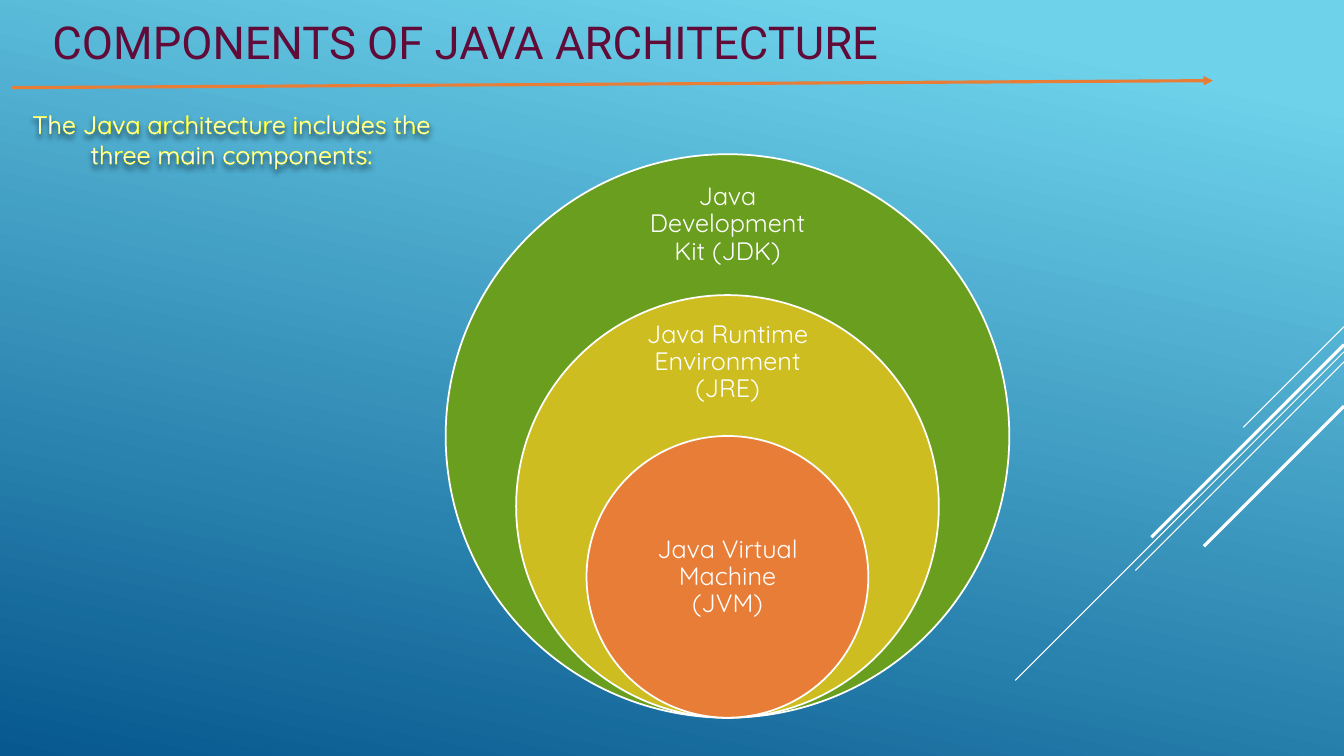
from dataclasses import dataclass

from lxml import etree
from pptx import Presentation
from pptx.dml.color import RGBColor
from pptx.enum.shapes import MSO_CONNECTOR, MSO_SHAPE
from pptx.enum.text import MSO_ANCHOR, PP_ALIGN
from pptx.oxml.ns import qn
from pptx.util import Inches, Pt

STRAIGHT = MSO_CONNECTOR.STRAIGHT
OVAL = MSO_SHAPE.OVAL
RECTANGLE = MSO_SHAPE.RECTANGLE
TOP, MIDDLE = MSO_ANCHOR.TOP, MSO_ANCHOR.MIDDLE
LEFT, CENTER = PP_ALIGN.LEFT, PP_ALIGN.CENTER


@dataclass(frozen=True)
class Theme:
    sky: str = "6ED2EB"
    deep: str = "06588E"
    title: str = "610B38"
    white: str = "FFFFFF"
    glow: str = "FFFF00"
    shade: str = "000000"
    jdk: str = "6A9E1F"
    jre: str = "CEBD20"
    jvm: str = "E87D37"
    title_font: str = "Roboto"
    body_font: str = "Quicksand"
    title_size: float = 32.4
    body_size: float = 18


THEME = Theme()


def rgb(value):
    return RGBColor.from_string(value)


def add_node(parent, tag, **attributes):
    return etree.SubElement(parent, qn(tag), attributes)


def add_run(paragraph, text, font, size, color):
    run = paragraph.add_run()
    run.text = text
    run.font.name = font
    run.font.size = Pt(size)
    run.font.color.rgb = rgb(color)
    return run


def add_line(slide, start, end, color, width):
    line = slide.shapes.add_connector(
        STRAIGHT, *(Inches(value) for value in (*start, *end)))
    line.line.color.rgb = rgb(color)
    line.line.width = Pt(width)
    add_node(line._element.spPr, "a:effectLst")
    return line


def paint_background(slide):
    fill = slide.background.fill
    fill.gradient()
    fill.gradient_angle = 258
    for stop, position, color in zip(
            fill.gradient_stops, (0.1, 1), (THEME.sky, THEME.deep)):
        stop.position = position
        stop.color.rgb = rgb(color)


def add_diagonals(slide, right, top):
    rays = ((0, 1, 0.75), (0.25, 3.26, 0.75), (0.35, 2.07, 0.75),
            (0.18, 1.91, 2.25), (0.79, 1.39, 2.25))
    for drop, reach, width in rays:
        add_line(slide, (right, top + drop),
                 (right - reach, top + drop + reach), THEME.white, width)


def add_heading(slide, left, top, width, height):
    title = slide.shapes.title
    title.left, title.top = Inches(left), Inches(top)
    title.width, title.height = Inches(width), Inches(height)
    title.text_frame.vertical_anchor = TOP
    paragraph = title.text_frame.paragraphs[0]
    paragraph.alignment = LEFT
    paragraph.line_spacing = 0.9
    add_run(paragraph, "COMPONENTS OF JAVA ARCHITECTURE",
            THEME.title_font, THEME.title_size, THEME.title)
    underline = add_line(slide, (left - 0.3, top + 0.72),
                         (left + 11.61, top + 0.65), THEME.jvm, 2.25)
    add_node(underline.line._get_or_add_ln(), "a:tailEnd", type="triangle")


def add_intro(slide, left, top, width, height):
    intro = slide.shapes.add_shape(
        RECTANGLE, Inches(left), Inches(top), Inches(width), Inches(height))
    intro.fill.background()
    intro.line.fill.background()
    intro.shadow.inherit = False
    effects = intro._element.spPr.find(qn("a:effectLst"))
    shadow = add_node(effects, "a:outerShdw", blurRad=str(Pt(4)),
                      dist=str(Pt(3)), dir="5400000", rotWithShape="0")
    shade = add_node(shadow, "a:srgbClr", val=THEME.shade)
    add_node(shade, "a:alpha", val="46000")
    frame = intro.text_frame
    frame.word_wrap = True
    frame.vertical_anchor = TOP
    paragraph = frame.paragraphs[0]
    paragraph.alignment = CENTER
    run = add_run(paragraph,
                  "The Java architecture includes the three main components:",
                  THEME.body_font, THEME.body_size, THEME.white)
    outline = etree.Element(qn("a:ln"), w=str(Pt(0.75)))
    add_node(add_node(outline, "a:solidFill"), "a:srgbClr", val=THEME.glow)
    run._r.get_or_add_rPr().insert(0, outline)


def add_ring_label(slide, text, left, top, width, height):
    label = slide.shapes.add_textbox(
        Inches(left), Inches(top), Inches(width), Inches(height))
    frame = label.text_frame
    frame.word_wrap = True
    frame.vertical_anchor = MIDDLE
    frame.margin_left = frame.margin_right = Inches(0.14)
    frame.margin_top = frame.margin_bottom = Inches(0.14)
    paragraph = frame.paragraphs[0]
    paragraph.alignment = CENTER
    paragraph.line_spacing = 0.9
    add_run(paragraph, text, THEME.body_font, THEME.body_size, THEME.white)


def add_nested_rings(slide, left, top, size):
    rings = (
        ("Java Development Kit (JDK)", THEME.jdk, 1, 0.28, 1.95, 0.84),
        ("Java Runtime Environment (JRE)", THEME.jre, 0.75, 0.27, 1.95, 0.79),
        ("Java Virtual Machine (JVM)", THEME.jvm, 0.5, 0.7, 1.98, 1.4),
    )
    center = left + size / 2
    for text, color, scale, drop, width, height in rings:
        diameter = size * scale
        ring_top = top + size - diameter
        ring = slide.shapes.add_shape(
            OVAL, Inches(center - diameter / 2), Inches(ring_top),
            Inches(diameter), Inches(diameter))
        ring.shadow.inherit = False
        ring.fill.solid()
        ring.fill.fore_color.rgb = rgb(color)
        ring.line.color.rgb = rgb(THEME.white)
        ring.line.width = Pt(1.25)
        add_ring_label(slide, text, center - width / 2, ring_top + drop,
                       width, height)


def main():
    deck = Presentation()
    deck.slide_width, deck.slide_height = Inches(13.33), Inches(7.5)
    slide = deck.slides.add_slide(deck.slide_layouts[5])
    paint_background(slide)
    add_diagonals(slide, 13.33, 3.24)
    add_heading(slide, 0.42, 0.15, 9.33, 1.11)
    add_nested_rings(slide, 4.42, 1.53, 5.59)
    add_intro(slide, 0.15, 1.03, 4.29, 1.01)
    deck.save("out.pptx")


if __name__ == "__main__":
    main()
